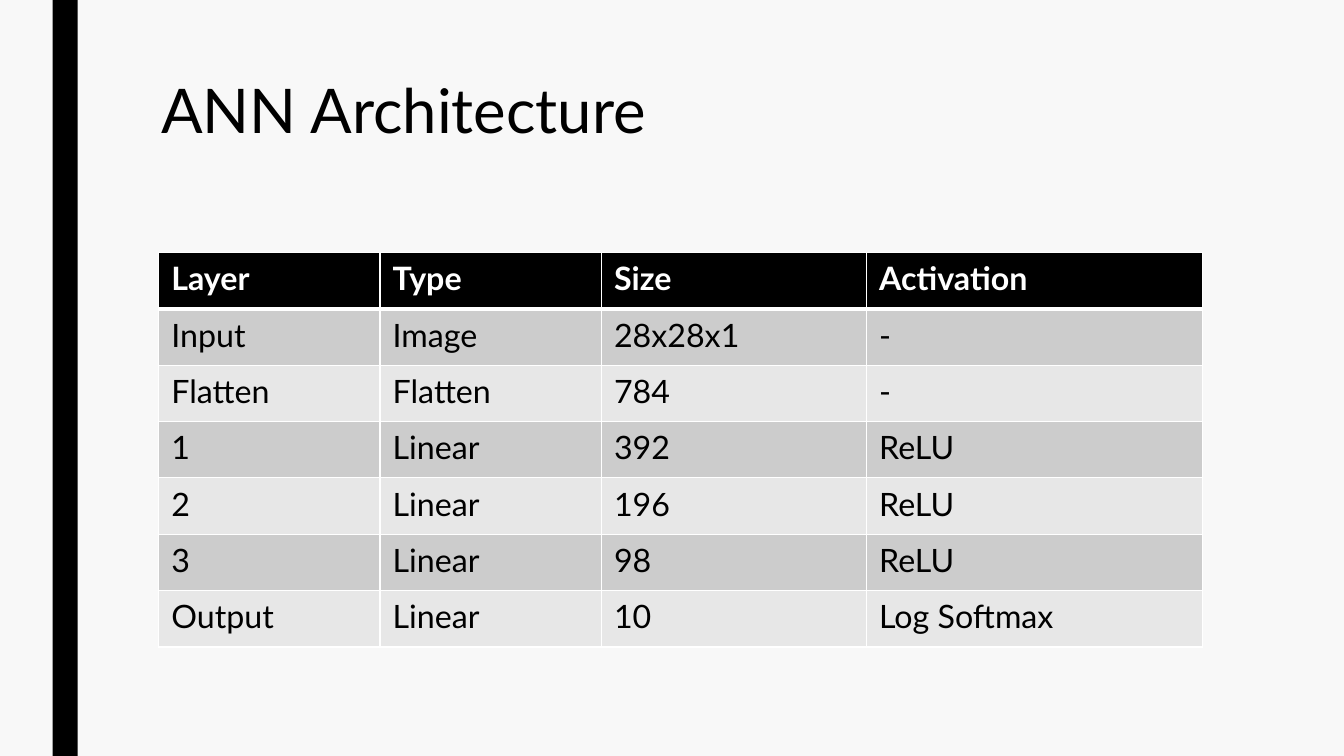
from lxml.etree import SubElement
from pptx import Presentation
from pptx.dml.color import RGBColor
from pptx.enum.shapes import MSO_SHAPE
from pptx.enum.text import MSO_ANCHOR
from pptx.oxml.ns import qn
from pptx.util import Pt

# Content
TITLE = "ANN Architecture"
ROWS = [
    ("Layer", "Type", "Size", "Activation"),
    ("Input", "Image", "28x28x1", "-"),
    ("Flatten", "Flatten", "784", "-"),
    ("1", "Linear", "392", "ReLU"),
    ("2", "Linear", "196", "ReLU"),
    ("3", "Linear", "98", "ReLU"),
    ("Output", "Linear", "10", "Log Softmax"),
]
WIDTHS = [158.1, 158.1, 189.4, 240.2]
HEIGHT = 40.28
FONT = "Lato"
COLORS = {
    "back": "F8F8F8",
    "black": "000000",
    "white": "FFFFFF",
    "odd": "CCCCCC",
    "even": "E7E7E7",
}


def color(name):
    return RGBColor.from_string(COLORS[name])


def style(frame, size, name, bold=False):
    for run in frame.paragraphs[0].runs:
        run.font.name = FONT
        run.font.size = Pt(size)
        run.font.bold = bold
        run.font.color.rgb = color(name)


def border(cell, side, width):
    line = SubElement(cell._tc.get_or_add_tcPr(), qn("a:ln" + side), w=str(Pt(width)))
    fill = SubElement(line, qn("a:solidFill"))
    SubElement(fill, qn("a:srgbClr"), val=COLORS["white"])


def main():
    deck = Presentation()
    deck.slide_width, deck.slide_height = Pt(960), Pt(540)
    slide = deck.slides.add_slide(deck.slide_layouts[6])
    slide.background.fill.solid()
    slide.background.fill.fore_color.rgb = color("back")

    # Side bar
    bar = slide.shapes.add_shape(MSO_SHAPE.RECTANGLE, Pt(37.5), 0, Pt(18), Pt(540))
    bar.shadow.inherit = False
    bar.fill.solid()
    bar.fill.fore_color.rgb = color("black")
    bar.line.fill.background()

    # Title
    box = slide.shapes.add_textbox(Pt(108), Pt(54), Pt(756), Pt(116.64))
    frame = box.text_frame
    frame.word_wrap = True
    frame.vertical_anchor = MSO_ANCHOR.TOP
    frame.text = TITLE
    frame.paragraphs[0].line_spacing = 0.89
    style(frame, 44, "black")

    # Layer table
    table = slide.shapes.add_table(
        len(ROWS), len(WIDTHS), Pt(113.3), Pt(180.3),
        Pt(sum(WIDTHS)), Pt(HEIGHT * len(ROWS))).table
    for col, width in zip(table.columns, WIDTHS):
        col.width = Pt(width)
    for r, texts in enumerate(ROWS):
        table.rows[r].height = Pt(HEIGHT)
        head = r == 0
        fill = "black" if head else "odd" if r % 2 else "even"
        for c, text in enumerate(texts):
            cell = table.cell(r, c)
            cell.margin_left = cell.margin_right = Pt(9.1)
            cell.margin_top = cell.margin_bottom = Pt(4.55)
            for side in "LRTB":
                thick = (r, side) in ((0, "B"), (1, "T"))
                border(cell, side, 3 if thick else 1)
            cell.fill.solid()
            cell.fill.fore_color.rgb = color(fill)
            cell.text_frame.text = text
            style(cell.text_frame, 23, "white" if head else "black", head)

    deck.save("out.pptx")


if __name__ == "__main__":
    main()
